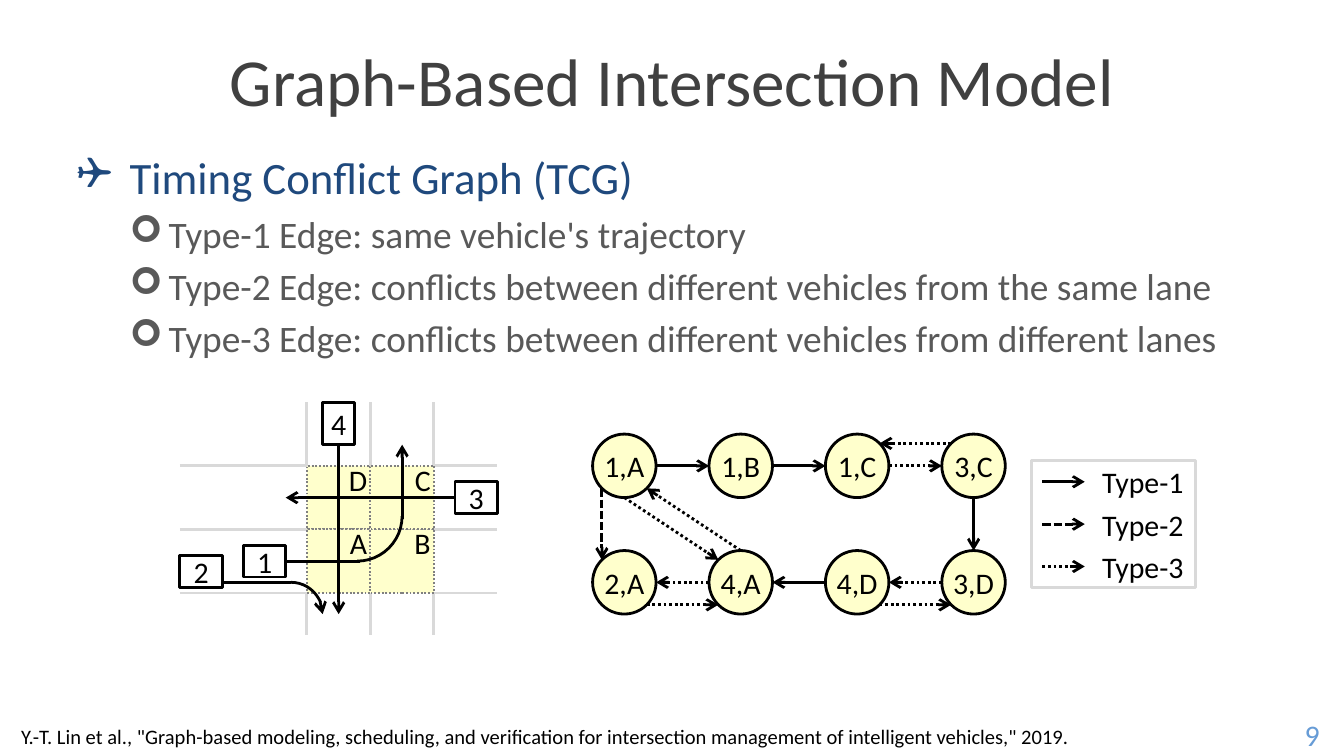
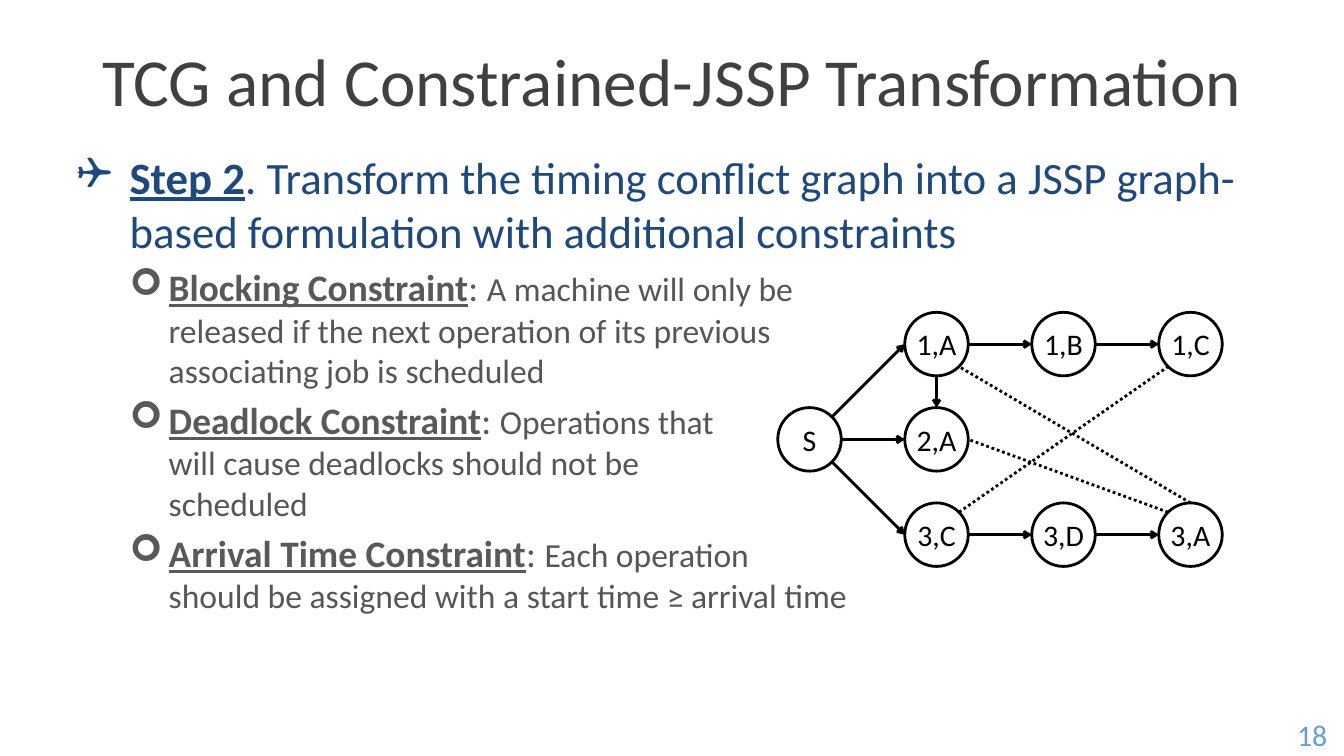
import math

from pptx import Presentation
from pptx import util as u
from pptx.dml.color import RGBColor
from pptx.enum import dml, shapes, text
from pptx.oxml.ns import qn
from lxml import etree

PX = 7200  # EMU per px, 127 px to the inch
FONT = "Calibri"
BLACK, GREY, DOT_GREY, YELLOW = "000000", "D9D9D9", "808080", "FFFFCC"
TITLE, NAVY, BODY, DETAIL, PAGE = "404040", "1F497D", "595959", "565656", "679CD6"
DASH, DOT = dml.MSO_LINE.SQUARE_DOT, dml.MSO_LINE.ROUND_DOT
RECT, OVAL, ARC = (shapes.MSO_SHAPE.RECTANGLE, shapes.MSO_SHAPE.OVAL,
                   shapes.MSO_SHAPE.ARC)
LEFT, CENTER, RIGHT = text.PP_ALIGN.LEFT, text.PP_ALIGN.CENTER, text.PP_ALIGN.RIGHT
SITES = ["n", "nw", "w", "sw", "s", "se", "e", "ne"]
NODE = 60
CELL = 60


def emu(*lengths):
    return [u.Emu(round(length * PX)) for length in lengths]


def rgb(color):
    return RGBColor.from_string(color)


def site_point(shape, site):
    """Return the EMU point of a compass site on an oval, or on a rectangle's side."""
    angle = math.pi / 2 + SITES.index(site) * math.pi / 4
    return (round(shape.left + shape.width / 2 * (1 + math.cos(angle))),
            round(shape.top + shape.height / 2 * (1 - math.sin(angle))))


class Deck:
    def __init__(self):
        self.presentation = Presentation()
        self.presentation.slide_width, self.presentation.slide_height = emu(1270, 714)
        self.slide = None

    def add_slide(self, title, number):
        self.slide = self.presentation.slides.add_slide(
            self.presentation.slide_layouts.get_by_name("Title Only"))
        shape = self.slide.shapes.title
        shape.left, shape.top, shape.width, shape.height = emu(60, 30, 1150, 90)
        self.set_text(shape, title, 36, TITLE)
        self.label(1210, 674, 60, 40, str(number), PAGE)

    def style(self, font, size, color):
        font.name, font.size, font.color.rgb = FONT, u.Pt(size), rgb(color)

    def set_text(self, shape, words, size=16, color=BLACK, align=CENTER, insets=None):
        frame = shape.text_frame
        frame.word_wrap = True
        frame.vertical_anchor = text.MSO_ANCHOR.MIDDLE
        if insets:
            (frame.margin_left, frame.margin_top,
             frame.margin_right, frame.margin_bottom) = emu(*insets)
        paragraph = frame.paragraphs[0]
        paragraph.text = words
        paragraph.alignment = align
        self.style(paragraph.font, size, color)

    def label(self, x, y, width, height, words, color=BLACK, size=16, align=CENTER):
        shape = self.slide.shapes.add_textbox(*emu(x, y, width, height))
        self.set_text(shape, words, size, color, align, (0, 0, 0, 0))

    def bullets(self, items):
        """Add the body; an item is (level, runs), a run (words, size, color, strong)."""
        shape = self.slide.shapes.add_textbox(*emu(60, 135, 1150, 540))
        frame = shape.text_frame
        frame.word_wrap = True
        for number, (level, runs) in enumerate(items):
            paragraph = frame.add_paragraph() if number else frame.paragraphs[0]
            paragraph.level = level
            if number:
                paragraph.space_before = u.Pt(4)
            margin, hang, mark = [(50, 50, "❑"), (87, 37, "➢")][level]
            properties = paragraph._p.get_or_add_pPr()
            properties.set("marL", str(margin * PX))
            properties.set("indent", str(-hang * PX))
            etree.SubElement(properties, qn("a:buFont"), typeface="Wingdings")
            etree.SubElement(properties, qn("a:buChar"), char=mark)
            if len(runs) == 1:
                self.style(paragraph.font, *runs[0][1:3])
            for words, size, color, strong in runs:
                for row, line in enumerate(words.split("\n")):
                    if row:
                        paragraph.add_line_break()
                    run = paragraph.add_run()
                    run.text = line
                    if len(runs) > 1:
                        self.style(run.font, size, color)
                        if strong:
                            run.font.bold = run.font.underline = True

    def outline(self, shape, color, weight=1.5, dash=None, arrow=None):
        """Set the line; arrow is the size of the head at its end."""
        shape.line.color.rgb = rgb(color)
        shape.line.width = u.Pt(weight)
        if dash:
            shape.line.dash_style = dash
        if arrow:
            line = shape._element.spPr.find(qn("a:ln"))
            etree.SubElement(line, qn("a:tailEnd"), type="arrow", w=arrow, len=arrow)

    def shape(self, preset, x, y, width, height, words="", fill=None, line=BLACK,
              weight=1.5, dash=None, arrow=None, align=CENTER, insets=(0, 0, 0, 0)):
        shape = self.slide.shapes.add_shape(preset, *emu(x, y, width, height))
        shape.shadow.inherit = False
        if fill:
            shape.fill.solid()
            shape.fill.fore_color.rgb = rgb(fill)
        else:
            shape.fill.background()
        self.outline(shape, line, weight, dash, arrow)
        if words:
            self.set_text(shape, words, align=align, insets=insets)
        return shape

    def arc(self, x, y, size, start, end, arrow=None):
        """Add a clockwise arc between two angles in degrees."""
        shape = self.shape(ARC, x, y, size, size, arrow=arrow)
        for index, angle in enumerate((start, end)):
            shape.adjustments[index] = angle * 0.6

    def line(self, begin, end, color=BLACK, dash=None, arrow=None):
        """Join two ends, each an (x, y) in px or a (shape, site)."""
        connector = self.slide.shapes.add_connector(
            shapes.MSO_CONNECTOR.STRAIGHT, 0, 0, 0, 0)
        points = []
        for target, join, tag in ((begin, connector.begin_connect, "a:stCxn"),
                                  (end, connector.end_connect, "a:endCxn")):
            if isinstance(target[0], int):
                points.append(emu(*target))
                continue
            shape, site = target
            points.append(site_point(shape, site))
            index = SITES.index(site)
            if shape.auto_shape_type == OVAL:  # ovals have eight sites
                join(shape, 0)
                next(connector._element.iter(qn(tag))).set("idx", str(index))
            else:
                join(shape, index // 2)
        connector.begin_x, connector.begin_y = points[0]
        connector.end_x, connector.end_y = points[1]
        self.outline(connector, color, dash=dash, arrow=arrow)
        etree.SubElement(connector._element.spPr, qn("a:effectLst"))

    def nodes(self, places, fill=None):
        return {name: self.shape(OVAL, x, y, NODE, NODE, name, fill)
                for name, (x, y) in places.items()}

    def edges(self, nodes, routes, dash=None, arrow=None):
        for start, start_site, end, end_site in map(str.split, routes):
            self.line((nodes[start], start_site), (nodes[end], end_site),
                      dash=dash, arrow=arrow)


def draw_intersection(deck):
    columns, rows = [290, 350, 410], [440, 500, 560]
    for y in rows:
        for left, right in ((170, columns[0]), (columns[-1], 470)):
            deck.line((left, y), (right, y), GREY)
    for x in columns:
        for top, bottom in ((380, rows[0]), (rows[-1], 600)):
            deck.line((x, top), (x, bottom), GREY)
    for name, column, row in (("D", 0, 0), ("A", 0, 1), ("B", 1, 1), ("C", 1, 0)):
        deck.shape(RECT, columns[column], rows[row], CELL, CELL, name, YELLOW,
                   DOT_GREY, 1, DOT, align=RIGHT, insets=(0, 0, 3, 35))
    vehicles = {name: deck.shape(RECT, *place, name) for name, place in {
        "4": (305, 380, 30, 40), "1": (230, 515, 40, 30),
        "2": (170, 525, 40, 30), "3": (430, 455, 40, 30)}.items()}
    deck.line((vehicles["3"], "w"), (270, 470), arrow="med")
    deck.line((vehicles["4"], "s"), (320, 580), arrow="med")
    deck.line((vehicles["1"], "e"), (340, 530))
    deck.arc(295, 445, 85, 0, 90)
    deck.line((380, 490), (380, 420), arrow="med")
    deck.line((210, 550), (275, 550))
    deck.arc(245, 550, 60, 270, 0, arrow="med")


def draw_conflict_graph(deck):
    grid = [["1,A", "1,B", "1,C", "3,C"], ["2,A", "4,A", "4,D", "3,D"]]
    nodes = deck.nodes({name: (560 + 110 * column, 410 + 110 * row)
                        for row, names in enumerate(grid)
                        for column, name in enumerate(names)}, YELLOW)
    deck.shape(RECT, 975, 435, 155, 120, line=GREY)
    edge_types = [
        ("Type-1", None, ["1,A e 1,B w", "1,B e 1,C w", "3,C s 3,D n", "4,D w 4,A e"]),
        ("Type-2", DASH, ["1,A sw 2,A nw"]),
        ("Type-3", DOT, ["4,A w 2,A e", "1,A s 4,A nw", "4,A n 1,A se",
                         "1,C e 3,C w", "3,C nw 1,C ne", "4,D se 3,D sw",
                         "3,D w 4,D e", "2,A se 4,A sw"])]
    for number, (name, dash, routes) in enumerate(edge_types):
        deck.edges(nodes, routes, dash, "med")
        y = 455 + 40 * number
        deck.line((985, y), (1025, y), dash=dash, arrow="med")
        deck.label(1035, y - 15, 90, 30, name)


def draw_job_graph(deck):
    columns, rows = [735, 855, 975, 1095], [295, 385, 475]
    grid = [["", "1,A", "1,B", "1,C"], ["S", "2,A"], ["", "3,C", "3,D", "3,A"]]
    nodes = deck.nodes({name: (x, y) for y, names in zip(rows, grid)
                        for x, name in zip(columns, names) if name})
    deck.edges(nodes, ["1,A e 1,B w", "1,B e 1,C w", "1,A s 2,A n", "3,C e 3,D w",
                       "3,D e 3,A w", "S ne 1,A w", "S e 2,A w", "S se 3,C w"],
               arrow="sm")
    deck.edges(nodes, ["3,A n 1,A se", "3,C ne 1,C sw", "3,A nw 2,A e"], DOT)


def main():
    deck = Deck()

    deck.add_slide("Graph-Based Intersection Model", 9)
    edge_notes = ["Type-1 Edge: same vehicle's trajectory",
                  "Type-2 Edge: conflicts between different vehicles from the same lane",
                  "Type-3 Edge: conflicts between different vehicles from different lanes"]
    deck.bullets([(0, [("Timing Conflict Graph (TCG)", 24, NAVY, False)])]
                 + [(1, [(note, 20, BODY, False)]) for note in edge_notes])
    draw_intersection(deck)
    draw_conflict_graph(deck)
    deck.label(20, 683, 1130, 24, 'Y.-T. Lin et al., "Graph-based modeling, scheduling, '
               'and verification for intersection management of intelligent vehicles," '
               '2019.', size=11, align=LEFT)

    deck.add_slide("TCG and Constrained-JSSP Transformation", 18)
    constraints = {
        "Blocking Constraint": "A machine will only be\nreleased if the next operation "
                               "of its previous\nassociating job is scheduled",
        "Deadlock Constraint": "Operations that\nwill cause deadlocks should not be\n"
                               "scheduled",
        "Arrival Time Constraint": "Each operation\nshould be assigned with a start "
                                   "time ≥ arrival time"}
    step = [("Step 2", 24, NAVY, True),
            (". Transform the timing conflict graph into a JSSP graph-based "
             "formulation with additional constraints", 24, NAVY, False)]
    deck.bullets([(0, step)] + [
        (1, [(name, 20, BODY, True), (": ", 20, BODY, False),
             (detail, 18, DETAIL, False)]) for name, detail in constraints.items()])
    draw_job_graph(deck)

    deck.presentation.save("out.pptx")


if __name__ == "__main__":
    main()
